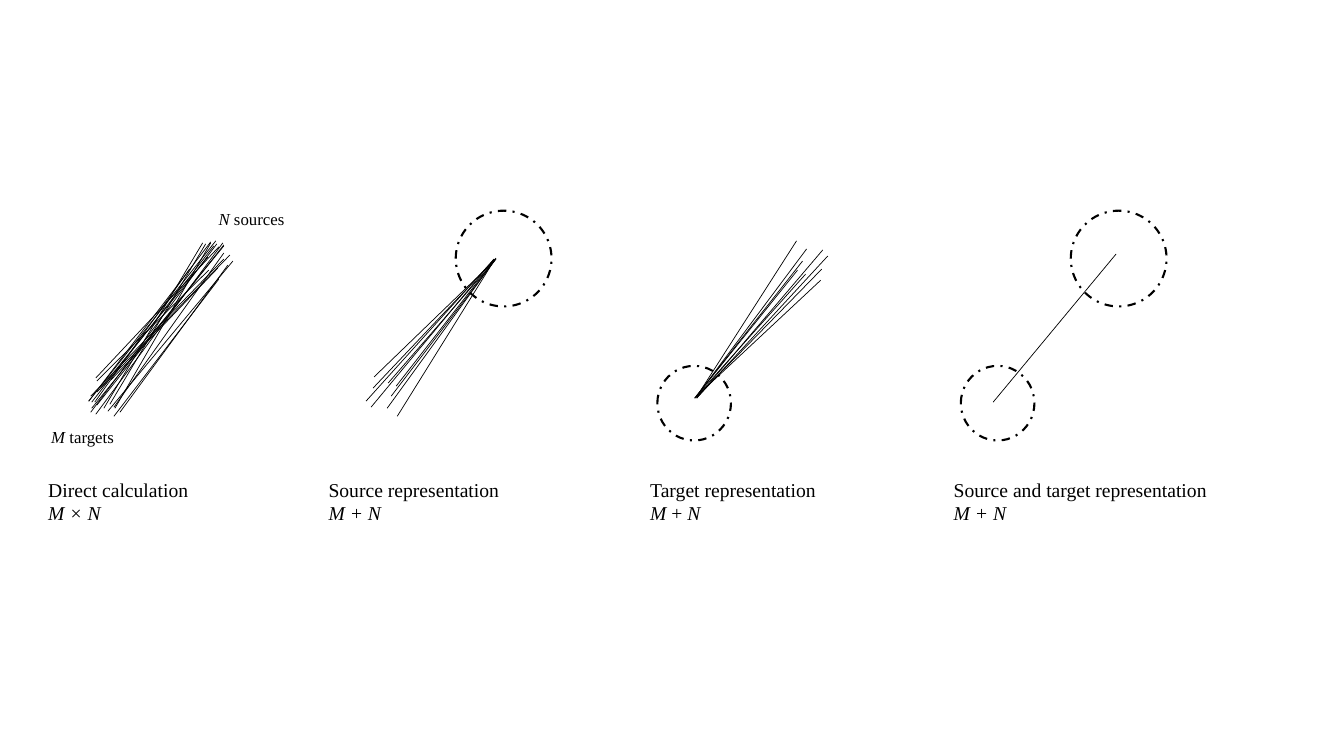
"""Builds a slide comparing direct, source, target and combined representations."""
from lxml import etree
from pptx import Presentation
from pptx.dml.color import RGBColor
from pptx.enum.dml import MSO_LINE
from pptx.enum.shapes import MSO_CONNECTOR, MSO_SHAPE
from pptx.enum.text import MSO_AUTO_SIZE
from pptx.oxml.ns import qn
from pptx.util import Inches, Pt

COLORS = {"ink": "000000", "paper": "FFFFFF"}


class Diagram:
    def __init__(self, slide):
        self.slide = slide
        self.ink = RGBColor.from_string(COLORS["ink"])
        self.font = {"name": "Times New Roman"}
        background = slide.background.fill
        background.solid()
        background.fore_color.rgb = RGBColor.from_string(COLORS["paper"])

    def text(self, left, top, width, height, size, lines):
        box = self.slide.shapes.add_textbox(*map(Inches, (left, top, width, height)))
        frame = box.text_frame
        frame.word_wrap = True
        frame.auto_size = MSO_AUTO_SIZE.SHAPE_TO_FIT_TEXT
        for index, parts in enumerate(lines):
            paragraph = frame.add_paragraph() if index else frame.paragraphs[0]
            for words, italic in parts:
                run = paragraph.add_run()
                run.text = words
                style = {**self.font, "size": Pt(size), "italic": italic}
                for attribute, value in style.items():
                    setattr(run.font, attribute, value)
                run.font.color.rgb = self.ink

    def caption(self, left, width, title, formula):
        self.text(left, 4.69, width, 0.57, 14, [[(title, False)], formula])

    def region(self, left, top, width, height):
        circle = self.slide.shapes.add_shape(
            MSO_SHAPE.OVAL, *map(Inches, (left, top, width, height)))
        circle.shadow.inherit = False
        circle.fill.background()
        circle.line.color.rgb = self.ink
        for attribute, value in {"width": Pt(1.5), "dash_style": MSO_LINE.DASH_DOT}.items():
            setattr(circle.line, attribute, value)

    def source_region(self, left):
        self.region(left, 2.09, 0.95, 0.95)

    def target_region(self, left):
        self.region(left, 3.63, 0.73, 0.74)

    def rays(self, ends, grouped=False):
        shapes = self.slide.shapes
        if grouped:
            shapes = shapes.add_group_shape().shapes
        for points in ends:
            ray = shapes.add_connector(MSO_CONNECTOR.STRAIGHT, *map(Inches, points))
            ray.line.color.rgb = self.ink
            ray.line.width = Pt(0.5)
            etree.SubElement(ray._element.spPr, qn("a:effectLst"))


DIRECT_RAYS = [
    (0.96, 3.78, 2.07, 2.68), (1, 3.85, 2.06, 2.55), (0.95, 3.75, 2.17, 2.45),
    (1.1, 3.77, 2.16, 2.66), (0.94, 3.99, 1.88, 2.67), (1.03, 4.05, 2.01, 2.41),
    (0.9, 3.93, 2.22, 2.57), (1.14, 4.05, 2.09, 2.41), (0.91, 3.99, 2.12, 2.44),
    (0.95, 4.11, 2.21, 2.41), (1.13, 4.13, 2.17, 2.77), (0.9, 4.09, 2.15, 2.42),
    (1.07, 4.08, 2.31, 2.59), (0.88, 3.98, 2.14, 2.39), (0.91, 4.05, 2.22, 2.44),
    (1.09, 4.01, 2.04, 2.42), (0.96, 3.89, 2.28, 2.53), (1.19, 4.09, 2.26, 2.63),
    (1.13, 4.04, 2.22, 2.51), (0.88, 3.98, 2.09, 2.4), (0.96, 4.02, 2.22, 2.43),
]
SOURCE_RAYS = [
    (3.88, 3.93, 4.92, 2.57), (3.93, 3.83, 4.92, 2.56), (3.94, 4.13, 4.91, 2.57),
    (3.84, 4.05, 4.9, 2.59), (3.68, 4.04, 4.9, 2.57), (3.63, 3.98, 4.9, 2.57),
    (3.7, 3.85, 4.9, 2.58), (3.71, 3.74, 4.9, 2.59), (3.85, 3.8, 4.91, 2.58),
]
TARGET_RAYS = [
    (7.96, 2.59, 6.89, 3.95), (7.91, 2.68, 6.89, 3.95), (7.9, 2.39, 6.9, 3.95),
    (8, 2.47, 6.91, 3.93), (8.16, 2.48, 6.91, 3.95), (8.21, 2.54, 6.91, 3.95),
    (8.15, 2.67, 6.91, 3.94), (8.14, 2.78, 6.91, 3.93), (7.99, 2.72, 6.9, 3.94),
]
SUM = [("M + N", True)]


def main():
    presentation = Presentation()
    presentation.slide_width = Inches(13.33)
    presentation.slide_height = Inches(7.5)
    diagram = Diagram(presentation.slides.add_slide(presentation.slide_layouts[6]))

    diagram.text(0.41, 4.18, 1.21, 0.3, 12, [[("M ", True), ("targets", False)]])
    diagram.text(2.07, 2.02, 1.31, 0.3, 12, [[("N", True), (" sources", False)]])
    diagram.rays(DIRECT_RAYS)
    diagram.caption(0.38, 2.11, "Direct calculation", [("M × N", True)])

    diagram.source_region(4.52)
    diagram.rays(SOURCE_RAYS, grouped=True)
    diagram.caption(3.16, 2.52, "Source representation", SUM)

    diagram.target_region(6.52)
    diagram.rays(TARGET_RAYS, grouped=True)
    diagram.caption(6.35, 2.52, "Target representation",
                    [("M", True), (" + ", False), ("N", True)])

    diagram.source_region(10.62)
    diagram.target_region(9.53)
    diagram.rays([(9.85, 3.99, 11.07, 2.52)])
    diagram.caption(9.36, 2.72, "Source and target representation", SUM)

    presentation.save("out.pptx")


if __name__ == "__main__":
    main()
